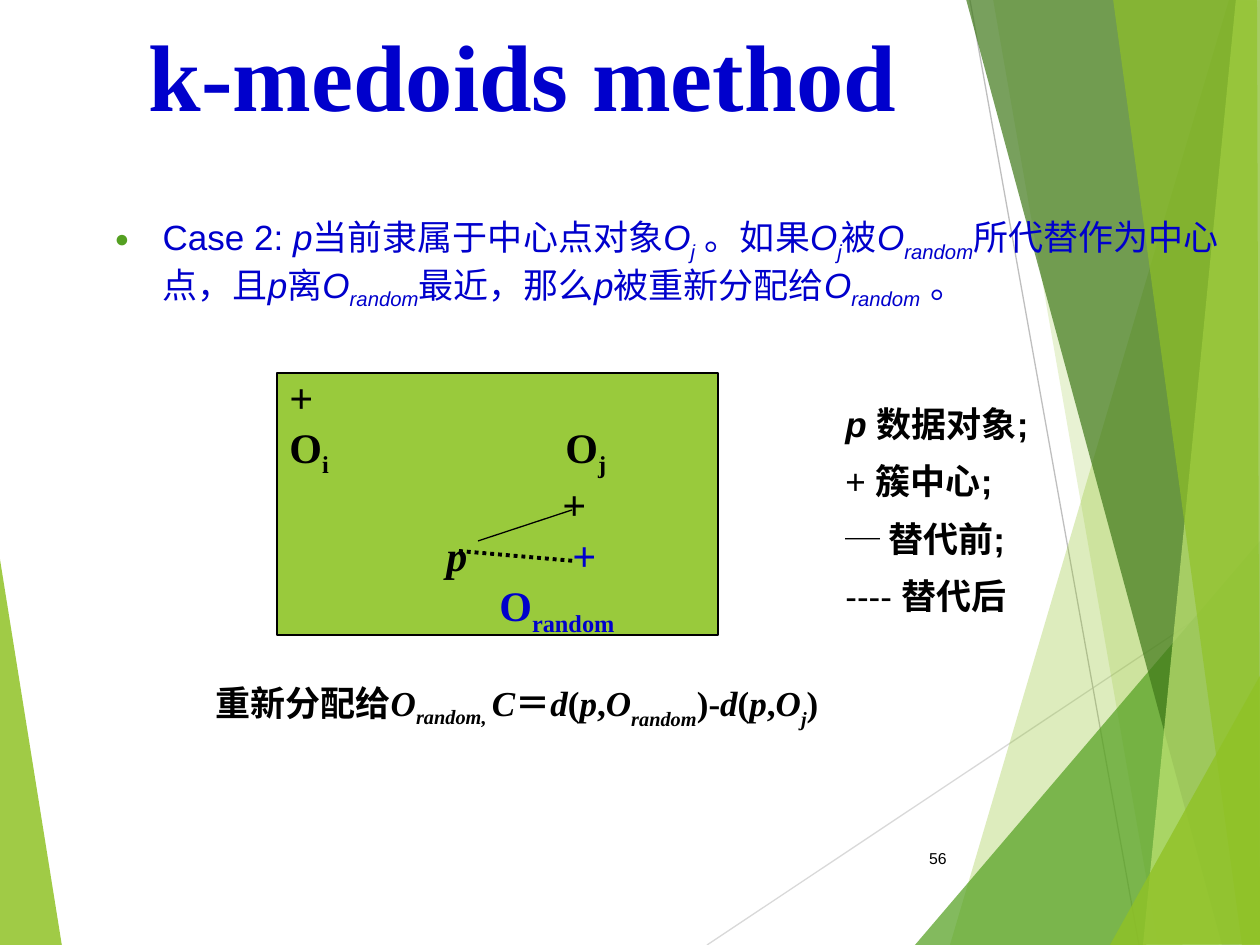
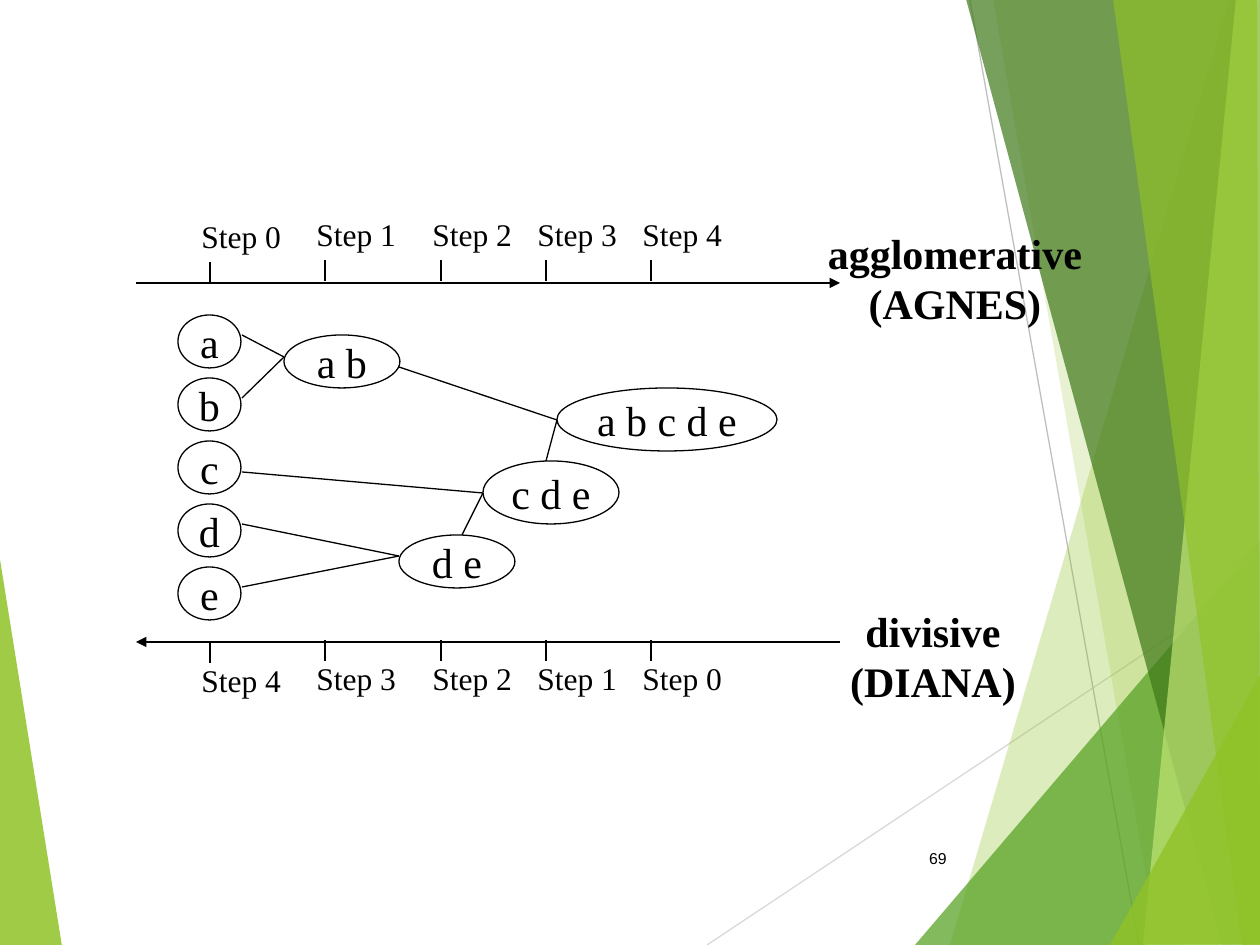
from dataclasses import dataclass
from typing import NamedTuple, Optional, Sequence

from lxml.etree import SubElement
from pptx import Presentation
from pptx.dml.color import RGBColor
from pptx.enum.dml import MSO_LINE
from pptx.enum.shapes import MSO_CONNECTOR, MSO_SHAPE
from pptx.enum.text import MSO_ANCHOR, MSO_AUTO_SIZE, PP_ALIGN
from pptx.oxml.ns import qn
from pptx.util import Emu, Pt

EMU_PER_PX = 914400 / 126
SLIDE_WIDTH, SLIDE_HEIGHT = 1260, 945

SERIF, SANS = "Times New Roman", "Arial"
BLACK, BLUE = "000000", "0000CC"
LIME, LEAF, FOREST, PALE = "90C226", "54A021", "3F7819", "C0E474"
BOX_GREEN = "99CA3C"


class Box(NamedTuple):
    left: int
    top: int
    width: int
    height: int


class Facet(NamedTuple):
    points: tuple[tuple[int, int], ...]
    color: str
    opacity: int


class Cluster(NamedTuple):
    members: str
    box: Box


class Axis(NamedTuple):
    y: int
    arrow_end: str
    tick_top: int
    label_top: int
    steps: Sequence[int]
    method: tuple[str, str]
    method_box: Box


@dataclass(frozen=True)
class Run:
    text: str
    italic: bool = False
    baseline: int = 0
    bold: Optional[bool] = None
    color: Optional[str] = None


LEFT_FACET = Facet(((-1, 553), (62, 946), (-1, 945)), LIME, 85)
RIGHT_FACETS = (
    Facet(((1229, 0), (950, 945), (1262, 946), (1261, 1)), LIME, 30),
    Facet(((993, -1), (1158, 945), (1261, 945), (1261, -1)), LIME, 20),
    Facet(((915, 945), (1260, 541), (1261, 945)), LEAF, 72),
    Facet(((966, -1), (1222, 945), (1261, 944), (1261, -1)), FOREST, 70),
    Facet(((1236, -1), (1143, 945), (1261, 945), (1260, -1)), PALE, 70),
    Facet(((1113, -1), (1242, 945), (1260, 945), (1257, -1)), LIME, 65),
    Facet(((1110, 945), (1261, 674), (1261, 944)), LIME, 80),
)

TICK_XS = (210, 325, 441, 546, 651)
AXES = (
    Axis(283, "tailEnd", 260, 209, range(5),
         ("agglomerative", "(AGNES)"), Box(815, 221, 280, 113)),
    Axis(642, "headEnd", 640, 653, range(4, -1, -1),
         ("divisive", "(DIANA)"), Box(837, 599, 192, 113)),
)
CLUSTERS = tuple(
    Cluster(member, Box(178, 315 + 63 * row, 63, 53)) for row, member in enumerate("abcde")
) + (
    Cluster("a b", Box(284, 335, 116, 53)),
    Cluster("d e", Box(399, 535, 116, 53)),
    Cluster("c d e", Box(483, 461, 136, 63)),
    Cluster("a b c d e", Box(557, 388, 220, 63)),
)
MERGES = (
    ((242, 335), (284, 357)), ((242, 398), (284, 357)),
    ((242, 524), (399, 556)), ((242, 587), (399, 556)),
    ((242, 472), (483, 493)), ((462, 535), (483, 493)),
    ((399, 367), (557, 420)), ((546, 461), (557, 420)),
)


def px(length: int) -> Emu:
    return Emu(round(length * EMU_PER_PX))


def rgb(color: str) -> RGBColor:
    return RGBColor.from_string(color)


def emu_box(box: Box) -> list[Emu]:
    return [px(length) for length in box]


def symbol(name: str, index: str = "", drop: int = -25) -> list[Run]:
    """An italic variable with an optional subscript."""
    runs = [Run(name, italic=True)]
    return runs + [Run(index, italic=True, baseline=drop)] if index else runs


def write(frame, paragraphs: Sequence[Sequence[Run]], *, size: int, font: str = SERIF,
          color: str = BLACK, bold: bool = False, align=PP_ALIGN.LEFT,
          anchor=MSO_ANCHOR.TOP, wrap: bool = True, line_spacing: Optional[float] = None,
          space_before: Optional[int] = None) -> None:
    frame.word_wrap = wrap
    frame.auto_size = MSO_AUTO_SIZE.NONE
    frame.vertical_anchor = anchor
    for number, runs in enumerate(paragraphs):
        paragraph = frame.add_paragraph() if number else frame.paragraphs[0]
        paragraph.alignment = align
        if line_spacing is not None:
            paragraph.line_spacing = line_spacing
        if space_before is not None:
            paragraph.space_before = Pt(space_before)
        for part in runs:
            run = paragraph.add_run()
            run.text = part.text
            run.font.name = font
            run.font.size = Pt(size)
            run.font.bold = bold if part.bold is None else part.bold
            run.font.italic = part.italic
            run.font.color.rgb = rgb(part.color or color)
            if part.baseline:
                run.font._element.set("baseline", str(part.baseline * 1000))


def add_text(slide, box: Box, paragraphs: Sequence[Sequence[Run]], **style) -> None:
    write(slide.shapes.add_textbox(*emu_box(box)).text_frame, paragraphs, **style)


def fill_placeholder(placeholder, box: Box, runs: Sequence[Run], **style) -> None:
    placeholder.left, placeholder.top, placeholder.width, placeholder.height = emu_box(box)
    write(placeholder.text_frame, [runs], **style)


def add_line(slide, start: tuple[int, int], end: tuple[int, int], *, color: str = BLACK,
             width: float = 0.75, dash=None, arrow_end: str = ""):
    line = slide.shapes.add_connector(
        MSO_CONNECTOR.STRAIGHT, *(px(value) for value in (*start, *end)))
    line.line.color.rgb = rgb(color)
    line.line.width = Pt(width)
    if dash is not None:
        line.line.dash_style = dash
    if arrow_end:
        SubElement(line.line._get_or_add_ln(), qn(f"a:{arrow_end}"), type="triangle")
    SubElement(line.element.spPr, qn("a:effectLst"))
    return line


def add_outlined(slide, kind, box: Box, fill: str = ""):
    shape = slide.shapes.add_shape(kind, *emu_box(box))
    shape.shadow.inherit = False
    if fill:
        shape.fill.solid()
        shape.fill.fore_color.rgb = rgb(fill)
    else:
        shape.fill.background()
    shape.line.color.rgb = rgb(BLACK)
    shape.line.width = Pt(0.75)
    return shape


def add_facet(slide, facet: Facet):
    builder = slide.shapes.build_freeform(*facet.points[0], scale=EMU_PER_PX)
    builder.add_line_segments(facet.points[1:], close=True)
    shape = builder.convert_to_shape()
    shape.shadow.inherit = False
    shape.line.fill.background()
    shape.fill.solid()
    shape.fill.fore_color.rgb = rgb(facet.color)
    tint = shape.element.spPr.find(qn("a:solidFill"))[0]
    SubElement(tint, qn("a:alpha"), val=str(facet.opacity * 1000))
    return shape


def decorate_master(master, slide) -> None:
    """Draw the shared facets on a slide, then move them behind the master's placeholders."""
    decor = [
        add_facet(slide, LEFT_FACET),
        add_line(slide, (707, 945), (1261, 576), color="D9D9D9"),
        add_line(slide, (970, 0), (1139, 945), color="BFBFBF"),
        *(add_facet(slide, facet) for facet in RIGHT_FACETS),
    ]
    for order, part in enumerate(decor):
        part.element.xpath(".//p:cNvPr")[0].set("id", str(100 + order))
        master.shapes.element.insert(2 + order, part.element)


def add_page_number(slide, number: int) -> None:
    add_text(slide, Box(888, 833, 71, 50), [[Run(str(number))]], size=9, font=SANS,
             align=PP_ALIGN.RIGHT, anchor=MSO_ANCHOR.MIDDLE)


def set_bullet(paragraph) -> None:
    properties = paragraph._p.get_or_add_pPr()
    properties.set("marL", str(px(96)))
    properties.set("indent", str(px(-48)))
    SubElement(SubElement(properties, qn("a:buClr")), qn("a:srgbClr"), val=LEAF)
    SubElement(properties, qn("a:buSzPct"), val="70000")
    SubElement(properties, qn("a:buFont"), typeface=SANS)
    SubElement(properties, qn("a:buChar"), char="●")


def set_tabs(paragraph, stops: Sequence[int]) -> None:
    if stops:
        tabs = SubElement(paragraph._p.get_or_add_pPr(), qn("a:tabLst"))
        for stop in stops:
            SubElement(tabs, qn("a:tab"), pos=str(px(stop)), algn="l")


def build_medoids_slide(slide) -> None:
    add_page_number(slide, 56)
    title, case = slide.placeholders
    fill_placeholder(title, Box(136, 0, 1124, 147), [Run("k-medoids method")], size=54,
                     color=BLUE, bold=True, anchor=MSO_ANCHOR.MIDDLE)
    p, o_j, o_random = symbol("p"), symbol("O", "j"), symbol("O", "random")
    fill_placeholder(case, Box(54, 209, 1196, 144), [
        Run("Case 2: "), *p, Run("当前隶属于中心点对象"), *o_j, Run(" 。如果"), *o_j,
        Run("被"), *o_random, Run("所代替作为中心点，且"), *p, Run("离"), *o_random,
        Run("最近，那么"), *p, Run("被重新分配给"), *o_random, Run(" 。"),
    ], size=20, font=SANS, color=BLUE)
    set_bullet(case.text_frame.paragraphs[0])

    diagram = add_outlined(slide, MSO_SHAPE.RECTANGLE, Box(277, 373, 441, 262), BOX_GREEN)
    rows = (
        ([Run("+")], ()),
        ([Run("O"), Run("i", baseline=-25), Run("\tO"), Run("j", baseline=-25)], (276,)),
        ([Run("\t+")], (273,)),
        ([Run("\t"), *p, Run("\t+", color=BLUE)], (157, 283)),
        ([Run("\tO", color=BLUE), Run("random", baseline=-25, color=BLUE)], (210,)),
    )
    write(diagram.text_frame, [runs for runs, _ in rows], size=24, bold=True,
          anchor=MSO_ANCHOR.MIDDLE)
    for paragraph, (_, stops) in zip(diagram.text_frame.paragraphs, rows):
        set_tabs(paragraph, stops)
    add_line(slide, (478, 541), (572, 510))
    add_line(slide, (459, 551), (575, 561), width=2.25, dash=MSO_LINE.ROUND_DOT)

    add_text(slide, Box(203, 675, 655, 54), [[
        Run("重新分配给"), *symbol("O", "random, "), *symbol("C"), Run("＝"),
        *symbol("d"), Run("("), *p, Run(","), *symbol("O", "random", -30), Run(")-"),
        *symbol("d"), Run("("), *p, Run(","), *symbol("O", "j", -30), Run(")"),
    ]], size=20, bold=True, wrap=False)
    legend = (("+ ", "簇中心;"), ("─ ", "替代前;"), ("---- ", "替代后"))
    add_text(slide, Box(833, 388, 287, 239), [
        [Run("p ", italic=True), Run("数据对象;")],
        *([Run(mark, bold=False), Run(meaning)] for mark, meaning in legend),
    ], size=20, font=SANS, bold=True, line_spacing=1.2, space_before=4)


def add_axis(slide, axis: Axis) -> None:
    add_line(slide, (136, axis.y), (840, axis.y), width=1.5, arrow_end=axis.arrow_end)
    for column, (x, step) in enumerate(zip(TICK_XS, axis.steps)):
        drop = 0 if column else 2
        top = axis.tick_top + drop
        add_line(slide, (x, top), (x, top + 21))
        add_text(slide, Box(x - 21, axis.label_top + drop, 105, 50),
                 [[Run(f"Step {step}")]], size=18)
    add_text(slide, axis.method_box, [[Run(text)] for text in axis.method], size=24,
             bold=True, align=PP_ALIGN.CENTER, wrap=False)


def build_hierarchy_slide(slide) -> None:
    add_page_number(slide, 69)
    for axis in AXES:
        add_axis(slide, axis)
    for cluster in CLUSTERS:
        oval = add_outlined(slide, MSO_SHAPE.OVAL, cluster.box)
        frame = oval.text_frame
        frame.margin_left = frame.margin_right = frame.margin_top = frame.margin_bottom = 0
        write(frame, [[Run(cluster.members)]], size=24, align=PP_ALIGN.CENTER,
              anchor=MSO_ANCHOR.MIDDLE, wrap=False)
    for start, end in MERGES:
        add_line(slide, start, end)


def main() -> None:
    deck = Presentation()
    deck.slide_width, deck.slide_height = px(SLIDE_WIDTH), px(SLIDE_HEIGHT)
    title_and_content, blank = deck.slide_layouts[1], deck.slide_layouts[6]
    medoids = deck.slides.add_slide(title_and_content)
    decorate_master(deck.slide_master, medoids)
    build_medoids_slide(medoids)
    build_hierarchy_slide(deck.slides.add_slide(blank))
    deck.save("out.pptx")


if __name__ == "__main__":
    main()
